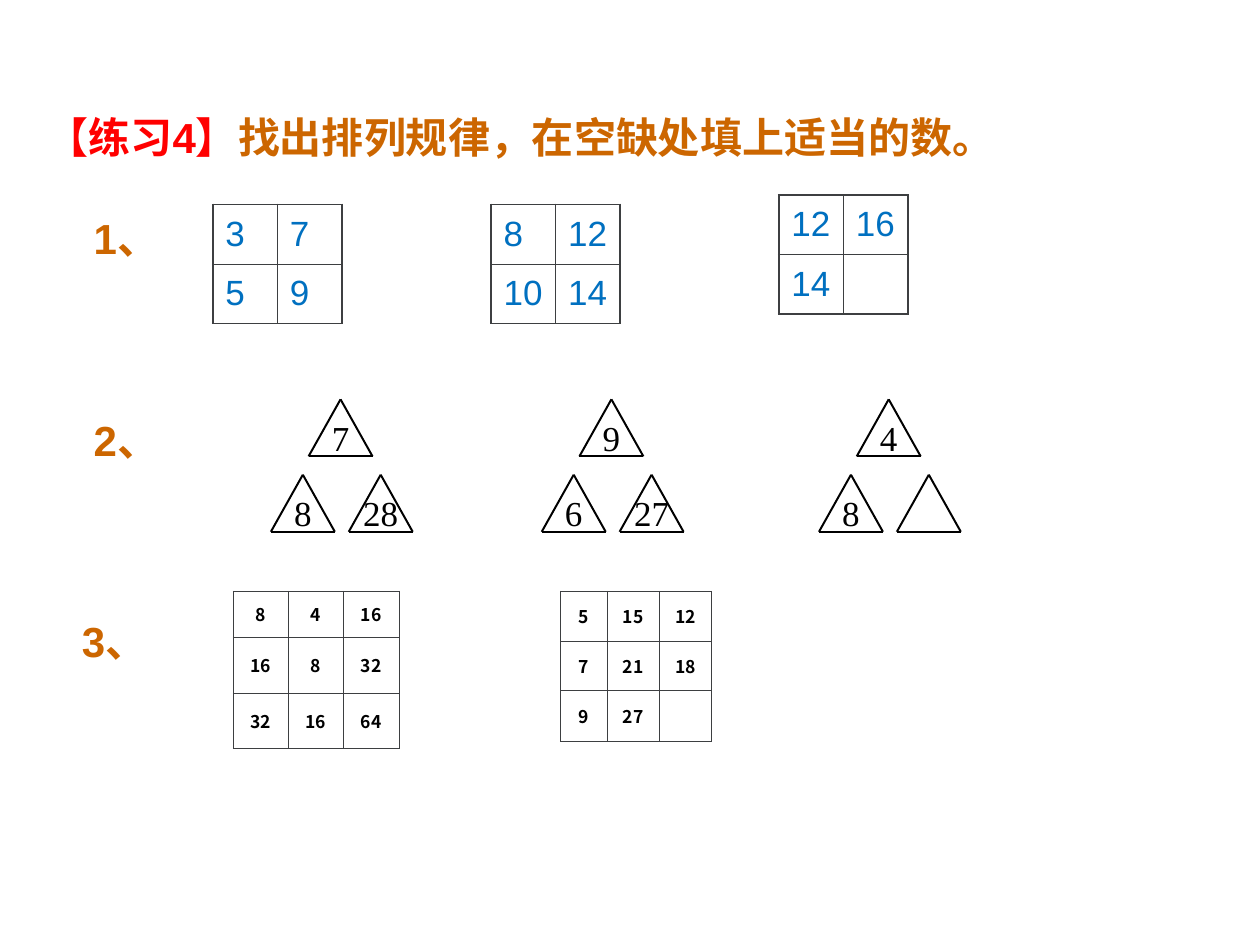
import lxml.etree
import pptx
import pptx.dml.color
import pptx.enum.shapes
import pptx.enum.text
import pptx.oxml.ns
import pptx.util
from pptx.util import Cm

RED = pptx.dml.color.RGBColor(0xFF, 0x00, 0x00)
ORANGE = pptx.dml.color.RGBColor(0xCC, 0x66, 0x00)
BLUE = pptx.dml.color.RGBColor(0x00, 0x70, 0xC0)
BLACK = pptx.dml.color.RGBColor(0x00, 0x00, 0x00)
GRID_GREY = pptx.dml.color.RGBColor(0x3D, 0x3F, 0x41)
CJK_FONT = "Noto Sans CJK SC"
ALIGN = pptx.enum.text.PP_ALIGN
ANCHOR = pptx.enum.text.MSO_ANCHOR
qn = pptx.oxml.ns.qn


def add_run(paragraph, text, font_name, size, color, bold=False):
    run = paragraph.add_run()
    run.text = text
    run.font.name = font_name
    run.font.size = pptx.util.Pt(size)
    run.font.bold = bold
    run.font.color.rgb = color
    east_asian = lxml.etree.SubElement(run.font._element, qn("a:ea"))
    east_asian.set("typeface", CJK_FONT)


def add_grid(left, top, column_widths, row_heights, outer_width):
    """Add an unfilled table with thin inner lines and the given outer line width."""
    frame = slide.shapes.add_table(
        len(row_heights), len(column_widths), Cm(left), Cm(top),
        Cm(sum(column_widths)), Cm(sum(row_heights)))
    table = frame.table
    table.first_row = table.horz_banding = False
    for column, width in zip(table.columns, column_widths):
        column.width = Cm(width)
    for row, height in zip(table.rows, row_heights):
        row.height = Cm(height)
    last_row, last_column = len(row_heights) - 1, len(column_widths) - 1
    for r, row in enumerate(table.rows):
        for c, cell in enumerate(row.cells):
            properties = cell._tc.get_or_add_tcPr()
            edges = {"L": c == 0, "R": c == last_column, "T": r == 0, "B": r == last_row}
            for side, is_outer in edges.items():
                width = outer_width if is_outer else 0.45
                line = lxml.etree.SubElement(properties, qn("a:ln" + side))
                line.set("w", str(int(pptx.util.Pt(width))))
                fill = lxml.etree.SubElement(line, qn("a:solidFill"))
                lxml.etree.SubElement(fill, qn("a:srgbClr")).set("val", str(GRID_GREY))
            cell.fill.background()
    return table


presentation = pptx.Presentation()
presentation.slide_width = Cm(25.4)
presentation.slide_height = Cm(19.05)
slide = presentation.slides.add_slide(presentation.slide_layouts[5])

# Heading
title = slide.shapes.title
title.left, title.top, title.width, title.height = Cm(0.94), Cm(2.25), Cm(23), Cm(1.3)
text_frame = title.text_frame
text_frame.margin_left = text_frame.margin_right = 0
text_frame.margin_top = text_frame.margin_bottom = 0
text_frame.vertical_anchor = ANCHOR.TOP
text_frame.auto_size = pptx.enum.text.MSO_AUTO_SIZE.NONE
paragraph = text_frame.paragraphs[0]
paragraph.alignment = ALIGN.LEFT
add_run(paragraph, "【练习4】", "Arial", 24, RED, True)
add_run(paragraph, "找出排列规律，在空缺处填上适当的数。", "Arial", 24, ORANGE, True)

# Question numbers
for index, (label, left) in enumerate([("1、", 1.89), ("2、", 1.89), ("3、", 1.65)]):
    box = slide.shapes.add_textbox(Cm(left), Cm(4.29 + 4.06 * index), Cm(2), Cm(1.3))
    text_frame = box.text_frame
    text_frame.word_wrap = True
    text_frame.margin_left = text_frame.margin_right = 0
    text_frame.margin_top = text_frame.margin_bottom = 0
    add_run(text_frame.paragraphs[0], label, "Arial", 24, ORANGE, True)

# Question 1: two-by-two squares
squares = [
    (4.29, 4.12, [["3", "7"], ["5", "9"]]),
    (9.9, 4.12, [["8", "12"], ["10", "14"]]),
    (15.7, 3.93, [["12", "16"], ["14", ""]]),
]
for left, top, numbers in squares:
    table = add_grid(left, top, [1.3] * 2, [1.2] * 2, 1.08)
    for row, values in zip(table.rows, numbers):
        for cell, value in zip(row.cells, values):
            paragraph = cell.text_frame.paragraphs[0]
            paragraph.alignment = ALIGN.JUSTIFY
            paragraph.line_spacing = 1.1
            if value:
                add_run(paragraph, value, "Arial", 20, BLUE)

# Question 2: groups of three triangles (top, lower left, lower right)
triangle_width, triangle_height, digit_width = 1.29, 1.15, 0.36
triangle_offsets = [(0, 0), (-0.76, 1.52), (0.81, 1.52)]
triangle_groups = [
    (6.22, ["7", "8", "28"]),
    (11.68, ["9", "6", "27"]),
    (17.27, ["4", "8", ""]),
]
for group_left, numbers in triangle_groups:
    for (x, y), number in zip(triangle_offsets, numbers):
        left, top = group_left + x, 8.05 + y
        middle = left + triangle_width / 2
        right, bottom = left + triangle_width, top + triangle_height
        sides = [
            (left, bottom, right, bottom),
            (middle, top, right, bottom),
            (middle, top, left, bottom),
        ]
        for side in sides:
            connector = slide.shapes.add_connector(
                pptx.enum.shapes.MSO_CONNECTOR.STRAIGHT, *map(Cm, side))
            connector.line.color.rgb = BLACK
            connector.line.width = pptx.util.Pt(1.13)
            lxml.etree.SubElement(connector._element.spPr, qn("a:effectLst"))
        if number:
            width = digit_width * len(number)
            box = slide.shapes.add_textbox(
                Cm(middle - width / 2), Cm(top + 0.34), Cm(width), Cm(0.84))
            text_frame = box.text_frame
            text_frame.word_wrap = False
            text_frame.margin_left = text_frame.margin_right = 0
            text_frame.margin_top = text_frame.margin_bottom = 0
            paragraph = text_frame.paragraphs[0]
            paragraph.alignment = ALIGN.CENTER
            add_run(paragraph, number, "Times New Roman", 20, BLACK)

# Question 3: three-by-three squares
large_squares = [
    (4.7, [1.11, 1.11, 1.13], [0.93, 1.12, 1.12],
     [["8", "4", "16"], ["16", "8", "32"], ["32", "16", "64"]]),
    (11.3, [0.94, 1.05, 1.05], [1, 1, 1.02],
     [["5", "15", "12"], ["7", "21", "18"], ["9", "27", ""]]),
]
for left, column_widths, row_heights, numbers in large_squares:
    table = add_grid(left, 11.92, column_widths, row_heights, 0.45)
    for row, values in zip(table.rows, numbers):
        for cell, value in zip(row.cells, values):
            cell.margin_left = cell.margin_right = 0
            cell.margin_top = cell.margin_bottom = 0
            cell.vertical_anchor = ANCHOR.MIDDLE
            paragraph = cell.text_frame.paragraphs[0]
            paragraph.alignment = ALIGN.CENTER
            if value:
                add_run(paragraph, value, CJK_FONT, 10, BLACK, True)

presentation.save("out.pptx")
